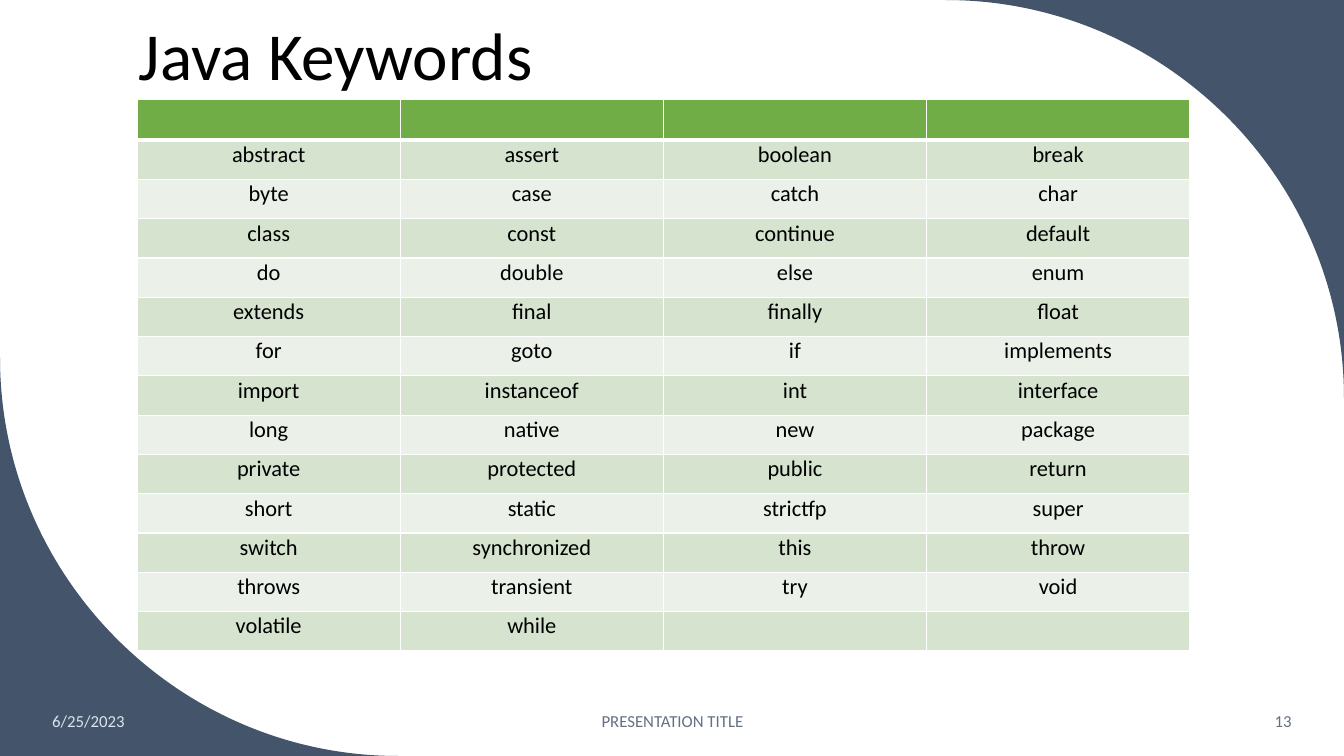
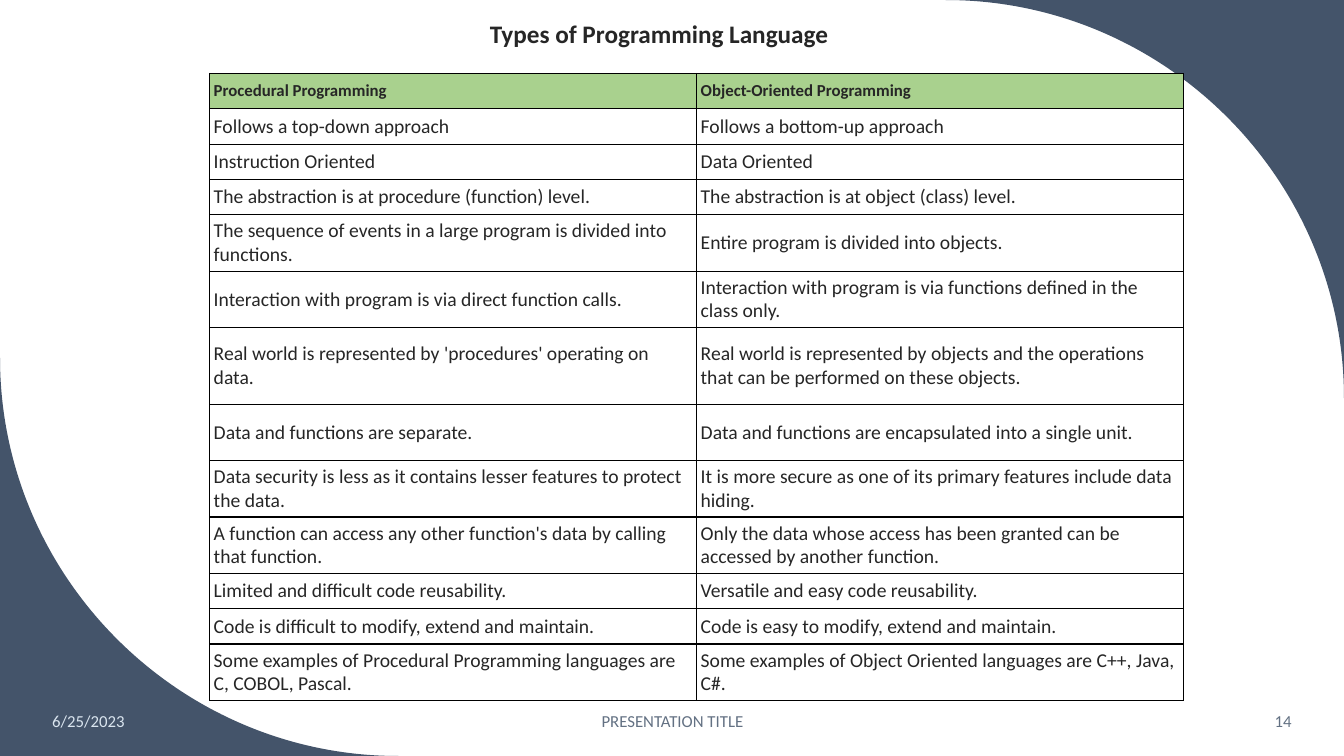
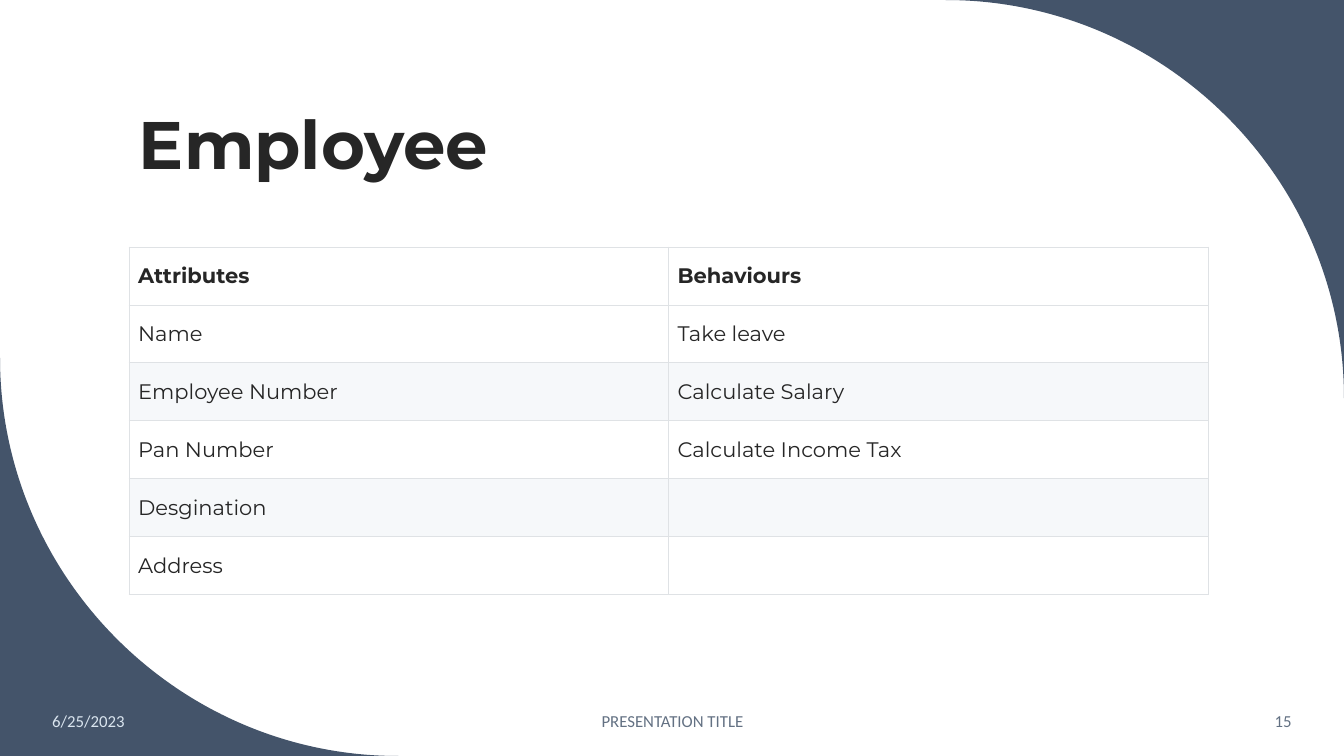
"""Build three slides on Java keywords, programming styles and an employee class."""
from copy import deepcopy
from dataclasses import dataclass

from lxml import etree
from pptx import Presentation
from pptx.dml.color import RGBColor
from pptx.enum.text import MSO_ANCHOR, PP_ALIGN
from pptx.oxml.ns import qn
from pptx.slide import Slide
from pptx.table import _Cell
from pptx.text.text import TextFrame
from pptx.util import Inches, Pt

LEFT, CENTER, RIGHT = PP_ALIGN.LEFT, PP_ALIGN.CENTER, PP_ALIGN.RIGHT
TOP, MIDDLE, BOTTOM = MSO_ANCHOR.TOP, MSO_ANCHOR.MIDDLE, MSO_ANCHOR.BOTTOM

NAVY = RGBColor(0x44, 0x54, 0x6A)
BLACK = RGBColor(0, 0, 0)
WHITE = RGBColor(0xFF, 0xFF, 0xFF)
INK = RGBColor(0x26, 0x26, 0x26)
DATE_BLUE = RGBColor(0xDA, 0xE5, 0xEF)
FOOTER_GRAY = RGBColor(0x63, 0x71, 0x83)
GREEN = RGBColor(0x70, 0xAD, 0x47)
SAGE = RGBColor(0xD5, 0xE3, 0xCF)
PALE_SAGE = RGBColor(0xEB, 0xF1, 0xE9)
LIGHT_GREEN = RGBColor(0xA9, 0xD1, 0x8E)
RULE_GRAY = RGBColor(0xDF, 0xE2, 0xE5)
PALE_GRAY = RGBColor(0xF6, 0xF8, 0xFA)

CALIBRI, MONTSERRAT = "Calibri", "Montserrat"
SLIDE_WIDTH, SLIDE_HEIGHT = 13.33, 7.5
CORNER_RADIUS = 3.95
ARC_PULL = 0.55


@dataclass(frozen=True)
class Corner:
    """A slide corner cut off by an arc, with the signs that lead into the slide."""
    x: float
    y: float
    inward_x: int
    inward_y: int


@dataclass(frozen=True)
class Footer:
    """One footer field; the page number replaces an empty text."""
    left: float
    width: float
    text: str
    align: PP_ALIGN
    color: RGBColor


@dataclass(frozen=True)
class TableStyle:
    """The look shared by the cells of one table."""
    font: str
    size: float
    header_size: float
    color: RGBColor
    header_fill: RGBColor
    row_fills: tuple[RGBColor | None, ...]
    border: RGBColor
    border_width: float
    header_rule: float
    inset: float
    align: PP_ALIGN = LEFT
    anchor: MSO_ANCHOR = MIDDLE


CORNERS = (Corner(SLIDE_WIDTH, 0, -1, 1), Corner(0, SLIDE_HEIGHT, 1, -1))
FOOTERS = (
    Footer(0.42, 1.86, "6/25/2023", LEFT, DATE_BLUE),
    Footer(4.42, 4.5, "PRESENTATION TITLE", CENTER, FOOTER_GRAY),
    Footer(11.1, 1.81, "", RIGHT, FOOTER_GRAY),
)
KEYWORD_STYLE = TableStyle(CALIBRI, 16, 16, BLACK, GREEN, (SAGE, PALE_SAGE),
                           WHITE, 1, 3, 0.01, CENTER, TOP)
COMPARISON_STYLE = TableStyle(CALIBRI, 14, 12, INK, LIGHT_GREEN, (None,),
                              BLACK, 1, 1, 0.04)
EMPLOYEE_STYLE = TableStyle(MONTSERRAT, 15, 15, INK, WHITE, (WHITE, PALE_GRAY),
                            RULE_GRAY, 0.6, 0.6, 0.09)

KEYWORDS = """
abstract assert boolean break byte case catch char class const continue default
do double else enum extends final finally float for goto if implements
import instanceof int interface long native new package
private protected public return short static strictfp super
switch synchronized this throw throws transient try void volatile while
""".split()
KEYWORD_COLUMNS = 4
COMPARISON = [
    ("Procedural Programming", "Object-Oriented Programming"),
    ("Follows a top-down approach", "Follows a bottom-up approach"),
    ("Instruction Oriented", "Data Oriented"),
    ("The abstraction is at procedure (function) level.",
     "The abstraction is at object (class) level."),
    ("The sequence of events in a large program is divided into functions.",
     "Entire program is divided into objects."),
    ("Interaction with program is via direct function calls.",
     "Interaction with program is via functions defined in the class only."),
    ("Real world is represented by 'procedures' operating on data.",
     "Real world is represented by objects and the operations that can be "
     "performed on these objects."),
    ("Data and functions are separate.",
     "Data and functions are encapsulated into a single unit."),
    ("Data security is less as it contains lesser features to protect the data.",
     "It is more secure as one of its primary features include data hiding."),
    ("A function can access any other function's data by calling that function.",
     "Only the data whose access has been granted can be accessed by another function."),
    ("Limited and difficult code reusability.", "Versatile and easy code reusability."),
    ("Code is difficult to modify, extend and maintain.",
     "Code is easy to modify, extend and maintain."),
    ("Some examples of Procedural Programming languages are C, COBOL, Pascal.",
     "Some examples of Object Oriented languages are C++, Java, C#."),
]
COMPARISON_HEIGHTS = [0.35] * 4 + [0.56] * 2 + [0.76] + [0.56] * 3 + [0.35] * 2 + [0.56]
EMPLOYEE = [
    ("Attributes", "Behaviours"),
    ("Name", "Take leave"),
    ("Employee Number", "Calculate Salary"),
    ("Pan Number", "Calculate Income Tax"),
    ("Desgination", ""),
    ("Address", ""),
]


def write_text(frame: TextFrame, text: str, *, size: float, color: RGBColor,
               font: str = CALIBRI, bold: bool = False, align: PP_ALIGN = LEFT,
               spacing: float | None = None) -> None:
    """Put one formatted paragraph into a text frame."""
    para = frame.paragraphs[0]
    para.alignment = align
    para.line_spacing = spacing
    span = para.add_run()
    span.text = text
    span.font.name = font
    span.font.size = Pt(size)
    span.font.bold = bold
    span.font.color.rgb = color


def add_text_box(page: Slide, left: float, top: float, width: float, height: float,
                 anchor: MSO_ANCHOR) -> TextFrame:
    """Add a wrapping text box and return its frame."""
    box = page.shapes.add_textbox(Inches(left), Inches(top), Inches(width), Inches(height))
    box.text_frame.word_wrap = True
    box.text_frame.vertical_anchor = anchor
    return box.text_frame


def add_title(page: Slide, text: str, top: float, height: float, *, color: RGBColor,
              font: str = CALIBRI, bold: bool = False) -> None:
    """Add a large slide title."""
    frame = add_text_box(page, 1.28, top, 10.69, height, BOTTOM)
    write_text(frame, text, size=48, color=color, font=font, bold=bold, spacing=0.9)


def pull_point(point: etree._Element, target: etree._Element) -> etree._Element:
    """Return a curve handle on the way from a point to the target."""
    handle = deepcopy(point)
    for axis in "xy":
        start, end = int(point.get(axis)), int(target.get(axis))
        handle.set(axis, str(round(start + ARC_PULL * (end - start))))
    return handle


def add_corner(page: Slide, corner: Corner) -> None:
    """Fill the area between a slide corner and its arc."""
    builder = page.shapes.build_freeform(Inches(corner.x), Inches(corner.y))
    builder.add_line_segments([
        (Inches(corner.x + corner.inward_x * CORNER_RADIUS), Inches(corner.y)),
        (Inches(corner.x), Inches(corner.y + corner.inward_y * CORNER_RADIUS)),
    ])
    shape = builder.convert_to_shape()
    tip, start, end = shape._element.findall(f".//{qn('a:path')}//{qn('a:pt')}")[:3]
    edge = end.getparent()
    curve = etree.Element(qn("a:cubicBezTo"))
    curve.extend([pull_point(start, tip), pull_point(end, tip), deepcopy(end)])
    edge.getparent().replace(edge, curve)
    shape.shadow.inherit = False
    shape.fill.solid()
    shape.fill.fore_color.rgb = NAVY
    shape.line.fill.background()


def add_page(deck: Presentation) -> Slide:
    """Add a slide with the shared corners."""
    page = deck.slides.add_slide(deck.slide_layouts[6])
    for corner in CORNERS:
        add_corner(page, corner)
    return page


def add_footers(page: Slide, number: int) -> None:
    """Add the date, the presentation title and the page number."""
    for footer in FOOTERS:
        frame = add_text_box(page, footer.left, 6.95, footer.width, 0.4, MIDDLE)
        write_text(frame, footer.text or str(number), size=12, color=footer.color,
                   align=footer.align)


def set_border(cell: _Cell, side: str, color: RGBColor, width: float) -> None:
    """Draw one side of a cell."""
    line = etree.SubElement(cell._tc.get_or_add_tcPr(), qn(f"a:ln{side}"), w=str(Pt(width)))
    fill = etree.SubElement(line, qn("a:solidFill"))
    etree.SubElement(fill, qn("a:srgbClr"), val=str(color))


def format_cell(cell: _Cell, text: str, row: int, style: TableStyle) -> None:
    """Fill in one cell according to its row."""
    header = row == 0
    cell.margin_left = cell.margin_right = Inches(style.inset)
    cell.margin_top = cell.margin_bottom = Inches(style.inset)
    cell.vertical_anchor = style.anchor
    for side in "LRTB":
        header_edge = (row, side) in ((0, "B"), (1, "T"))
        set_border(cell, side, style.border,
                   style.header_rule if header_edge else style.border_width)
    fill = style.header_fill if header else style.row_fills[(row - 1) % len(style.row_fills)]
    if fill is None:
        cell.fill.background()
    else:
        cell.fill.solid()
        cell.fill.fore_color.rgb = fill
    if text:
        write_text(cell.text_frame, text, size=style.header_size if header else style.size,
                   color=style.color, font=style.font, bold=header, align=style.align)


def add_grid(page: Slide, left: float, top: float, width: float, heights: list[float],
             rows: list[tuple[str, ...]], style: TableStyle) -> None:
    """Add a table with equal columns."""
    columns = len(rows[0])
    table = page.shapes.add_table(len(rows), columns, Inches(left), Inches(top),
                                  Inches(width), Inches(sum(heights))).table
    table.first_row = table.horz_banding = False
    for column in table.columns:
        column.width = Inches(width / columns)
    for row, (texts, height) in enumerate(zip(rows, heights)):
        table.rows[row].height = Inches(height)
        for column, text in enumerate(texts):
            format_cell(table.cell(row, column), text, row, style)


def keyword_rows() -> list[tuple[str, ...]]:
    """Arrange the keywords in rows below an empty header."""
    padded = KEYWORDS + [""] * (-len(KEYWORDS) % KEYWORD_COLUMNS)
    rows = [tuple(padded[start:start + KEYWORD_COLUMNS])
            for start in range(0, len(padded), KEYWORD_COLUMNS)]
    return [("",) * KEYWORD_COLUMNS] + rows


def add_keywords(deck: Presentation) -> None:
    """Add the slide listing the Java keywords."""
    page = add_page(deck)
    add_title(page, "Java Keywords", 0.12, 0.87, color=BLACK)
    rows = keyword_rows()
    heights = [0.4] + [0.39] * (len(rows) - 1)
    add_grid(page, 1.36, 0.99, 10.44, heights, rows, KEYWORD_STYLE)
    add_footers(page, 13)


def add_comparison(deck: Presentation) -> None:
    """Add the slide comparing two programming styles."""
    page = add_page(deck)
    add_grid(page, 2.08, 0.73, 9.66, COMPARISON_HEIGHTS, COMPARISON, COMPARISON_STYLE)
    add_footers(page, 14)
    frame = add_text_box(page, 4.76, 0.13, 6.67, 0.4, TOP)
    write_text(frame, "Types of Programming Language", size=18, color=INK, bold=True)


def add_employee(deck: Presentation) -> None:
    """Add the slide describing the employee class."""
    page = add_page(deck)
    add_title(page, "Employee", 0.42, 1.45, color=INK, font=MONTSERRAT, bold=True)
    add_grid(page, 1.28, 2.45, 10.7, [3.45 / len(EMPLOYEE)] * len(EMPLOYEE), EMPLOYEE,
             EMPLOYEE_STYLE)
    add_footers(page, 15)


def main() -> None:
    """Build and save the deck."""
    deck = Presentation()
    deck.slide_width = Inches(SLIDE_WIDTH)
    deck.slide_height = Inches(SLIDE_HEIGHT)
    add_keywords(deck)
    add_comparison(deck)
    add_employee(deck)
    deck.save("out.pptx")


main()
